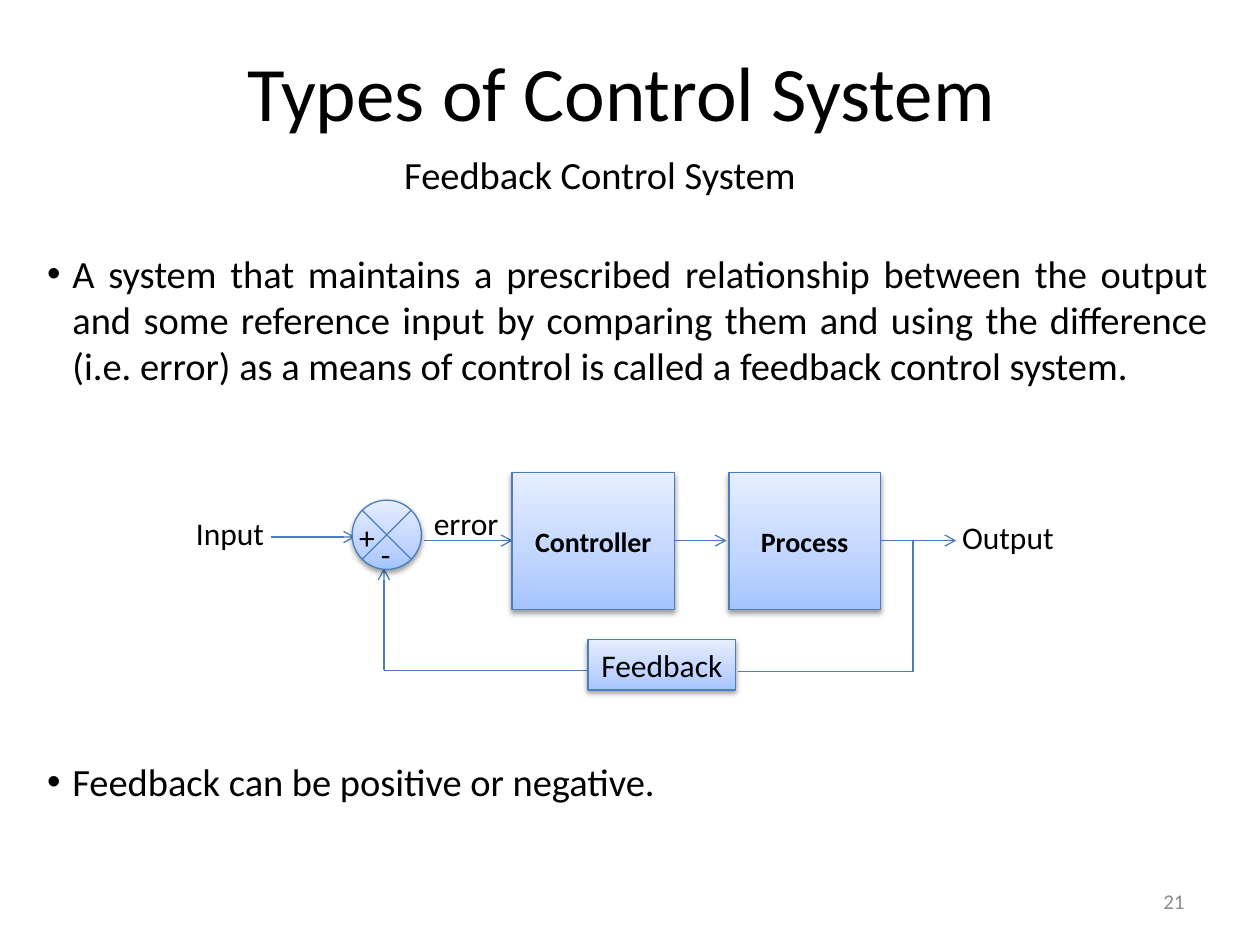
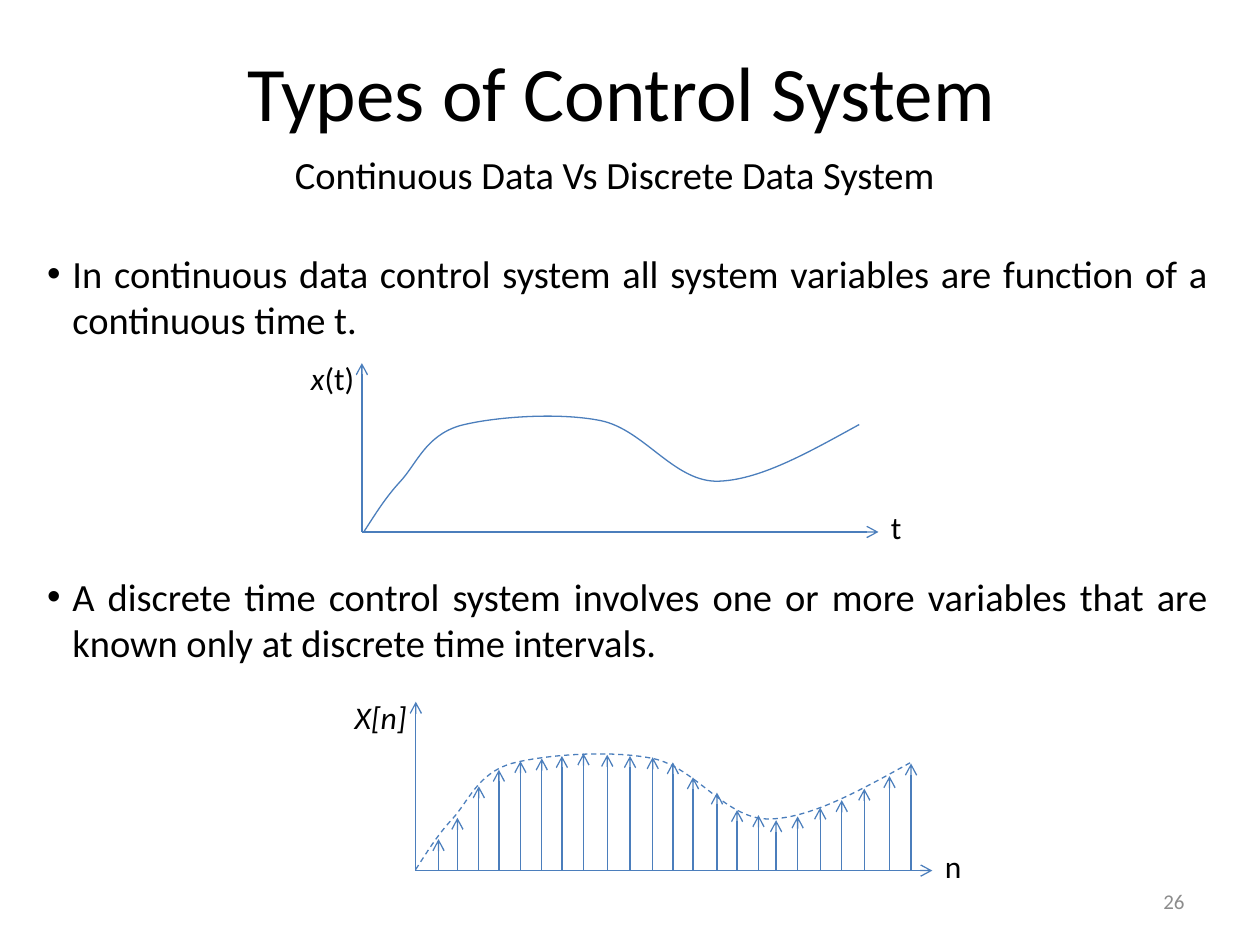
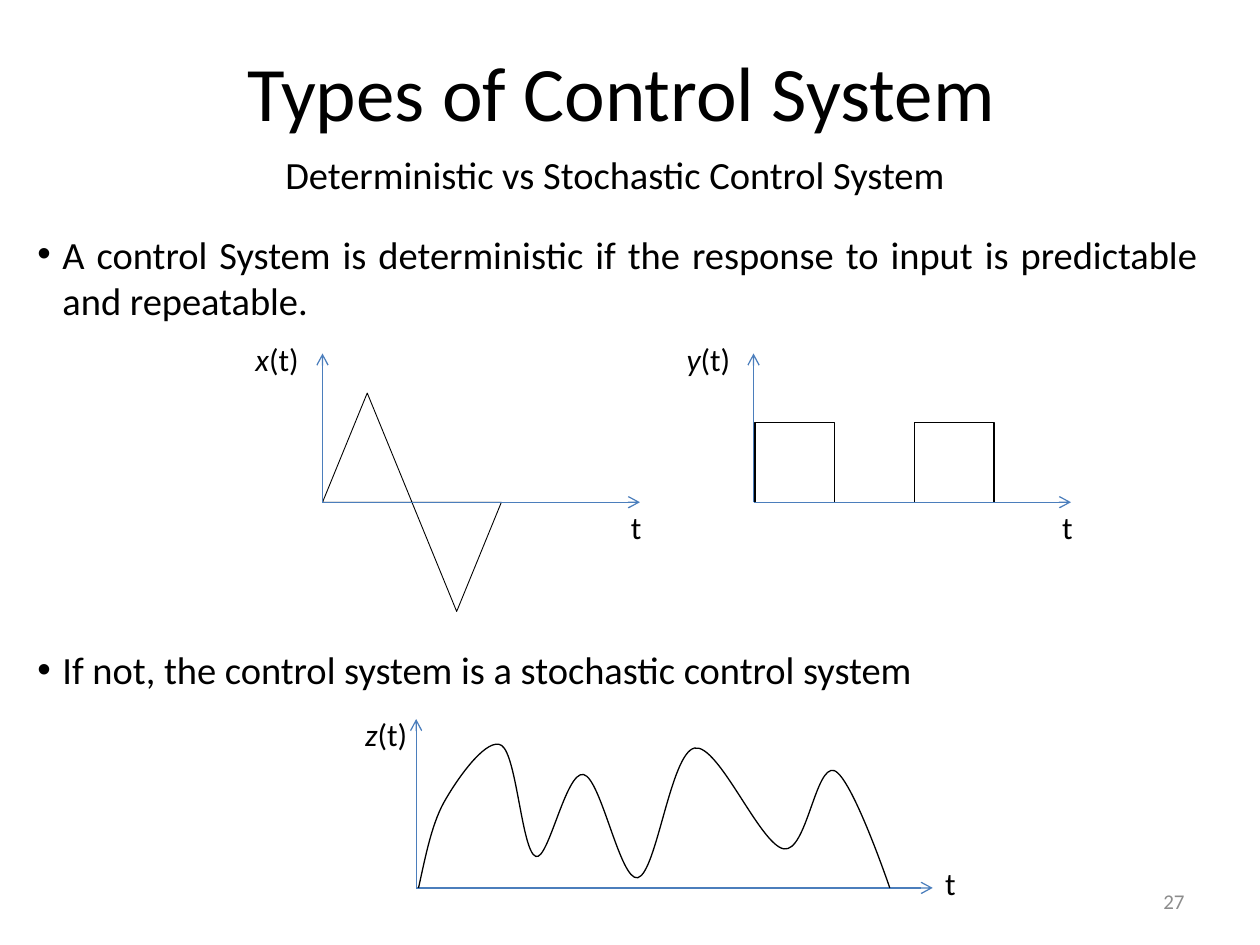
from copy import deepcopy

from lxml.etree import SubElement
from pptx import Presentation
from pptx.dml.color import RGBColor
from pptx.enum.dml import MSO_LINE
from pptx.enum.shapes import MSO_CONNECTOR, MSO_SHAPE as Preset
from pptx.enum.text import MSO_ANCHOR as Anchor, MSO_AUTO_SIZE as AutoSize, PP_ALIGN as Align
from pptx.oxml.ns import qn
from pptx.util import Pt

FONT, BLACK, GREY, BLUE = "Calibri", "000000", "8C8C8C", "4B7EBC"
BLOCK_GRADIENT = [(0, "A4C4FF"), (0.35, "BFD4FF"), (1, "E6EEFF")]
TITLE = "Types of Control System "
TITLE_ONLY = 5
BODY_SIZE, LABEL_SIZE = 22, 18
BODY_LINE = 26.37  # height of one line of body text

# number, subtitle, subtitle left and width, body left and top,
# lines left free between the bullets, bullets
SLIDES = [
    (21, "Feedback Control System", (223.9, 241.2), (19.9, 139.4), 8, [
        "A system that maintains a prescribed relationship between the output and some "
        "reference input by comparing them and using the difference (i.e. error) as a means "
        "of control is called a feedback control system.",
        "Feedback can be positive or negative."]),
    (26, "Continuous Data Vs Discrete Data System", (161.5, 384.5), (19.9, 139.4), 5, [
        "In continuous data control system all system variables are function of a "
        "continuous time t.",
        "A discrete time control system involves one or more variables that are known only "
        "at discrete time intervals."]),
    (27, "Deterministic vs Stochastic Control System", (156, 396), (14.2, 128.2), 7, [
        "A control System is deterministic if the response to input is predictable and "
        "repeatable.",
        "If not, the control system is a stochastic control system"]),
]

# Feedback loop: text, preset, box, font size, bold
BLOCKS = [
    ("Controller", Preset.RECTANGLE, (292.6, 270.2, 92.9, 78), 16, True),
    ("Process", Preset.RECTANGLE, (416.5, 270.2, 86.6, 78), 16, True),
    ("Feedback", Preset.RECTANGLE, (336, 365.6, 84.5, 28.8), LABEL_SIZE, False),
    ("", Preset.FLOWCHART_SUMMING_JUNCTION, (201.2, 285.8, 39.6, 39.6), LABEL_SIZE, False),
]
SIGNALS = [  # start, end, has arrowhead
    ((154.8, 306.9), (203, 306.9), True),
    ((242.2, 308.9), (293, 308.9), True),
    ((384.5, 308.9), (415.2, 308.9), True),
    ((496.8, 308.9), (546.5, 308.9), True),
    ((521.8, 308.9), (521.8, 383.8), False),
    ((521.8, 383.8), (421.9, 383.8), False),
    ((219.4, 383), (337, 383), False),
    ((219.4, 383), (219.4, 324.7), True),
]
SIGNAL_LABELS = [  # text, left, top, width
    ("Input", 104.9, 290.2, 59), ("Output", 542.7, 292.3, 73.4),
    ("error", 240.8, 284.4, 51.8), ("+", 198.2, 292.3, 23.8), ("-", 210.5, 302.4, 20.2),
]

# Axes: length across, length up, offsets of the two labels from the origin
LARGE_AXES = (295.2, 96.5, (-36.2, -102.6), (295.2, -17))
INDEX_AXES = (295.2, 96.5, (-42, -102.4), (295.2, -17))
SMALL_AXES = (181.4, 85, (-45.4, -96.5), (169.2, -0.2))

# Curves: two control points and an end point per piece, measured from the start
SMOOTH_SIGNAL = [
    ((6.5, -10), (12.2, -19.4), (20.9, -28.8)),
    ((30.2, -38.9), (35.3, -54.7), (54.7, -60.5)),
    ((73.4, -65.5), (110.9, -68.4), (135.4, -63.4)),
    ((159.8, -58.3), (176.4, -29.5), (200.9, -28.8)),
    ((225.4, -28.8), (254.2, -45.4), (283, -61.2)),
]
RANDOM_SIGNAL = [
    ((4.3, -19.4), (7.9, -38.2), (15.8, -51.1)),
    ((23.8, -64.8), (39.6, -86.4), (47.5, -81.4)),
    ((56.2, -75.6), (59, -20.9), (67, -18)),
    ((74.2, -15.1), (84.2, -67), (94.3, -64.8)),
    ((104.4, -62.6), (115.2, -3.6), (125.3, -5.8)),
    ((136.1, -8.6), (144, -77), (157.7, -79.9)),
    ((171.4, -82.8), (195.1, -24.5), (208.8, -22.3)),
    ((221.8, -20.2), (226.8, -70.6), (237.6, -67)),
    ((247.7, -63.4), (269.3, 0), (269.3, 0)),
]
SAMPLES = [  # distance from the origin, height
    (13, 18), (23.8, 30.2), (36, 48.2), (47.5, 57.6), (59.8, 62.6), (72, 64.1),
    (83.5, 65.5), (95.8, 67), (109.4, 66.2), (122.4, 65.5), (135.4, 64.8), (146.9, 61.9),
    (158.4, 53.3), (172.1, 44.6), (183.6, 34.6), (195.8, 31.7), (205.9, 28.8), (218.2, 31),
    (231.1, 36), (243.4, 40.3), (256.3, 46.8), (270.7, 54), (283, 61.2),
]


def rgb(value):
    return RGBColor.from_string(value)


def points(*lengths):
    return [Pt(length) for length in lengths]


def style_font(paragraph, size, color=BLACK, bold=False):
    font = paragraph.font
    font.name, font.size, font.bold = FONT, Pt(size), bold
    font.color.rgb = rgb(color)


def style_line(shape, color, width=0.75):
    shape.line.color.rgb = rgb(color)
    shape.line.width = Pt(width)


def add_text(slide, box, runs, size=LABEL_SIZE, color=BLACK, align=Align.LEFT,
             anchor=Anchor.TOP, wrap=False):
    """Add one paragraph; runs are pairs of text and italic."""
    frame = slide.shapes.add_textbox(*points(*box)).text_frame
    frame.word_wrap, frame.vertical_anchor = wrap, anchor
    paragraph = frame.paragraphs[0]
    paragraph.alignment = align
    style_font(paragraph, size, color)
    for text, italic in runs:
        run = paragraph.add_run()
        run.text = text
        if italic:
            run.font.italic = True


def add_bullets(slide, left, top, bullets, free_lines):
    height = (free_lines + 4) * BODY_LINE + 7.2
    frame = slide.shapes.add_textbox(*points(left, top, 677.5, height)).text_frame
    frame.word_wrap = True
    for index, bullet in enumerate(bullets):
        paragraph = frame.add_paragraph() if index else frame.paragraphs[0]
        paragraph.text = bullet
        paragraph.alignment = Align.JUSTIFY
        properties = paragraph._p.get_or_add_pPr()
        properties.set("marL", str(Pt(14.4)))
        properties.set("indent", str(Pt(-14.4)))
        SubElement(properties, qn("a:buFont")).set("typeface", "Arial")
        SubElement(properties, qn("a:buChar")).set("char", "•")
        if index:
            paragraph.space_before = Pt(free_lines * BODY_LINE)
        style_font(paragraph, BODY_SIZE)


def add_line(slide, start, end, arrow=True):
    connector = slide.shapes.add_connector(MSO_CONNECTOR.STRAIGHT, *points(*start, *end))
    style_line(connector, BLUE)
    properties = connector._element.spPr
    if arrow:
        SubElement(properties.find(qn("a:ln")), qn("a:tailEnd")).set("type", "arrow")
    SubElement(properties, qn("a:effectLst"))


def add_block(slide, text, preset, box, size, bold):
    """Add a block with a three-stop gradient and a soft shadow."""
    block = slide.shapes.add_shape(preset, *points(*box))
    style_line(block, BLUE)
    block.fill.gradient()
    block.fill.gradient_angle = 90
    properties = block._element.spPr
    stops = properties.find(".//" + qn("a:gsLst"))
    stops.insert(1, deepcopy(stops[0]))
    for stop, (position, color) in zip(block.fill.gradient_stops, BLOCK_GRADIENT):
        stop.position, stop.color.rgb = position, rgb(color)

    block.shadow.inherit = False
    shadow = SubElement(properties.find(qn("a:effectLst")), qn("a:outerShdw"),
                        blurRad=str(Pt(3.1)), dist=str(Pt(1.6)), dir="5400000", rotWithShape="0")
    shade = SubElement(shadow, qn("a:srgbClr"), val=BLACK)
    SubElement(shade, qn("a:alpha"), val="38000")

    if text:
        frame = block.text_frame
        frame.word_wrap, frame.vertical_anchor = False, Anchor.MIDDLE
        paragraph = frame.paragraphs[0]
        paragraph.text, paragraph.alignment = text, Align.CENTER
        style_font(paragraph, size, bold=bold)


def add_outline(slide, preset, box, width, rotation=0):
    shape = slide.shapes.add_shape(preset, *points(*box))
    shape.fill.background()
    shape.shadow.inherit = False
    shape.rotation = rotation
    style_line(shape, BLACK, width)


def add_axes(slide, origin, axes, value_label, time_label):
    across, up, value_offset, time_offset = axes
    x, y = origin
    add_line(slide, origin, (x, y - up))
    add_line(slide, origin, (x + across, y))
    add_text(slide, (x + value_offset[0], y + value_offset[1], 44.6, 28.8), value_label)
    add_text(slide, (x + time_offset[0], y + time_offset[1], 24.5, 28.8),
             [(time_label, False)])


def add_curve(slide, start, pieces, color=BLUE, dash=None):
    """Draw cubic Bezier pieces: each three straight segments become one curve."""
    x, y = start
    builder = slide.shapes.build_freeform(*points(x, y))
    builder.add_line_segments([points(x + dx, y + dy) for piece in pieces for dx, dy in piece],
                              close=False)
    curve = builder.convert_to_shape()
    segments = list(curve._element.iter(qn("a:lnTo")))
    outline = segments[0].getparent()
    for first in range(0, len(segments), 3):
        bezier = SubElement(outline, qn("a:cubicBezTo"))
        for segment in segments[first:first + 3]:
            bezier.append(segment[0])
            outline.remove(segment)

    curve.fill.background()
    curve.shadow.inherit = False
    style_line(curve, color)
    if dash:
        curve.line.dash_style = dash


def add_frame(deck, number, subtitle, subtitle_span, body_corner, free_lines, bullets):
    """Add a slide with the title, subtitle, bullets and page number all slides share."""
    slide = deck.slides.add_slide(deck.slide_layouts[TITLE_ONLY])
    title = slide.shapes.title
    title.left, title.top, title.width, title.height = points(36, 21.6, 648, 90)
    frame = title.text_frame
    frame.text = TITLE
    frame.auto_size, frame.vertical_anchor = AutoSize.NONE, Anchor.TOP
    frame.paragraphs[0].alignment = Align.CENTER
    style_font(frame.paragraphs[0], 44)

    left, width = subtitle_span
    add_text(slide, (left, 82.8, width, 33.8), [(subtitle, False)], BODY_SIZE)
    add_bullets(slide, *body_corner, bullets, free_lines)
    add_text(slide, (516.2, 500.4, 167.8, 28.8), [(str(number), False)], 12, GREY,
             Align.RIGHT, Anchor.MIDDLE, wrap=True)
    return slide


def draw_feedback_loop(slide):
    for start, end, arrow in SIGNALS:
        add_line(slide, start, end, arrow)
    for block in BLOCKS:
        add_block(slide, *block)
    for text, left, top, width in SIGNAL_LABELS:
        add_text(slide, (left, top, width, 28.8), [(text, False)])


def draw_continuous_and_discrete(slide):
    add_axes(slide, (206.8, 304), LARGE_AXES, [("x", True), ("(t)", False)], "t")
    add_curve(slide, (208, 303.8), SMOOTH_SIGNAL)

    x, y = origin = (237.6, 497.5)
    add_curve(slide, (x, y - 0.7), SMOOTH_SIGNAL, dash=MSO_LINE.DASH)
    add_axes(slide, origin, INDEX_AXES, [("X[n]", True)], "n")
    for distance, height in SAMPLES:
        add_line(slide, (x + distance, y), (x + distance, y - height))


def draw_deterministic_and_stochastic(slide):
    base, half_wave, peak, pulse = 287, 51.1, 62.4, 45.5
    wave_left, pulse_left = 184.3, 430.6
    add_outline(slide, Preset.ISOSCELES_TRIANGLE,
                (wave_left, base - peak, half_wave, peak), 0.5)
    add_outline(slide, Preset.ISOSCELES_TRIANGLE,
                (wave_left + half_wave, base, half_wave, peak), 0.5, rotation=180)
    for step in (0, 2):
        add_outline(slide, Preset.RECTANGLE,
                    (pulse_left + 0.9 + step * pulse, base - pulse, pulse, pulse), 0.75)
    for left, name in ((wave_left, "x"), (pulse_left, "y")):
        add_axes(slide, (left, base), SMALL_AXES, [(name, True), ("(t)", False)], "t")

    add_axes(slide, (237.8, 507.4), LARGE_AXES, [("z", True), ("(t)", False)], "t")
    add_curve(slide, (239.2, 507.4), RANDOM_SIGNAL, BLACK)


def main():
    deck = Presentation()
    deck.slide_width, deck.slide_height = points(720, 540)
    drawings = (draw_feedback_loop, draw_continuous_and_discrete,
                draw_deterministic_and_stochastic)
    for content, draw in zip(SLIDES, drawings):
        draw(add_frame(deck, *content))
    deck.save("out.pptx")


if __name__ == "__main__":
    main()
